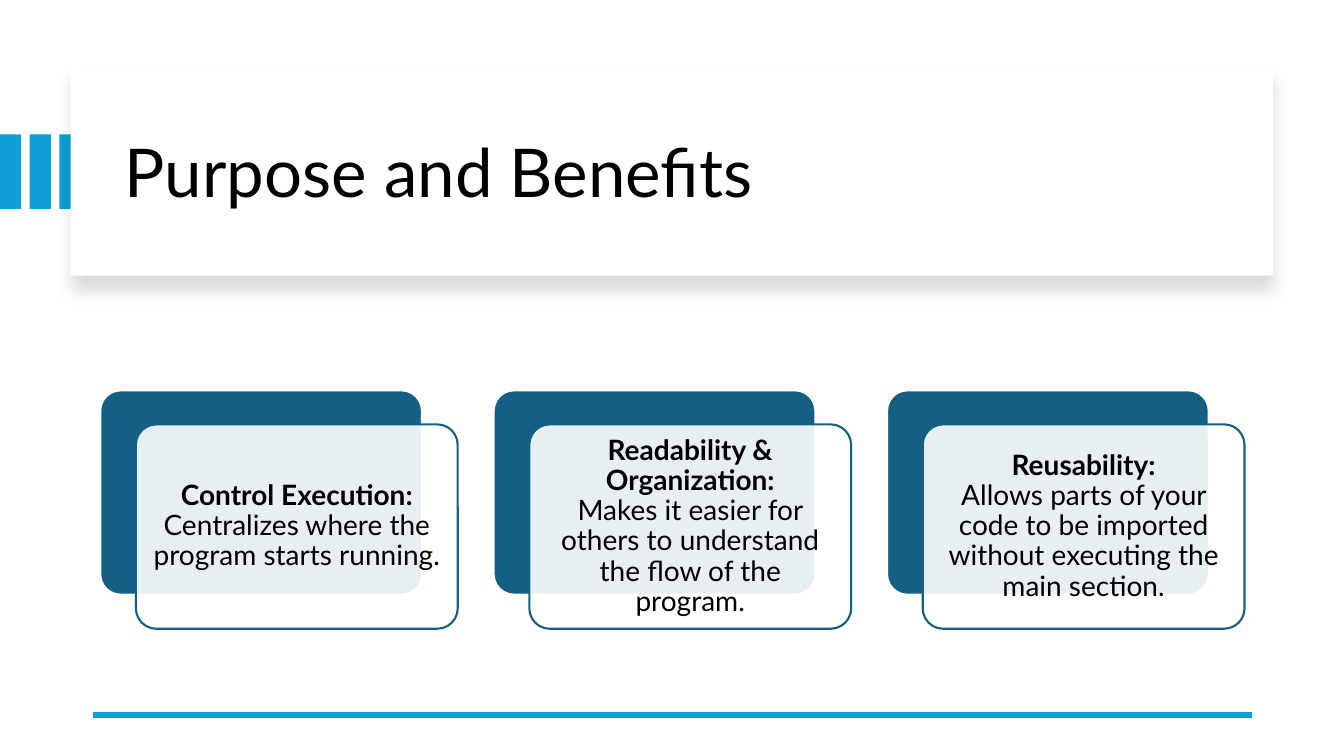
from dataclasses import dataclass

from lxml import etree
from pptx import Presentation
from pptx.dml.color import RGBColor
from pptx.enum.shapes import MSO_CONNECTOR, MSO_SHAPE
from pptx.enum.text import MSO_ANCHOR, PP_ALIGN
from pptx.oxml.ns import qn
from pptx.util import Pt

RECT = MSO_SHAPE.RECTANGLE
ROUNDED = MSO_SHAPE.ROUNDED_RECTANGLE
STRAIGHT = MSO_CONNECTOR.STRAIGHT
MIDDLE = MSO_ANCHOR.MIDDLE
LEFT, CENTER = PP_ALIGN.LEFT, PP_ALIGN.CENTER

# Content
TITLE = "Purpose and Benefits"
BENEFITS = [
    ("Control Execution:", "Centralizes where the program starts running."),
    ("Readability & Organization:",
     "Makes it easier for others to understand the flow of the program."),
    ("Reusability:",
     "Allows parts of your code to be imported without executing the main section."),
]


@dataclass(frozen=True)
class Theme:
    font: str = "Lato"
    title_size: float = 48
    body_size: float = 20
    text: str = "000000"
    paper: str = "FFFFFF"
    accent: str = "0F9ED5"
    card: str = "156082"


THEME = Theme()

# Layout, in points
STRIPE_TOP, STRIPE_WIDTH, STRIPE_HEIGHT, STRIPE_STEP = 96, 15.2, 53.2, 21.2
BANNER = (50.4, 48, 859, 149)
TITLE_BOX = (82, 64, 801.5, 122.5)
RULE_LEFT, RULE_RIGHT, RULE_Y = 66.2, 894.2, 510.5
CARD_LEFT, CARD_TOP, CARD_WIDTH, CARD_HEIGHT = 71.6, 278.8, 229.9, 146
CARD_STEP, CARD_SHIFT_X, CARD_SHIFT_Y = 281, 25.5, 24.3
TEXT_MARGIN = 4.25

deck = Presentation()
deck.slide_width, deck.slide_height = Pt(960), Pt(540)
page = deck.slides.add_slide(deck.slide_layouts[6])


def add_box(kind, left, top, width, height, fill, line=None):
    box = page.shapes.add_shape(kind, Pt(left), Pt(top), Pt(width), Pt(height))
    box.shadow.inherit = False
    box.fill.solid()
    box.fill.fore_color.rgb = RGBColor.from_string(fill)
    if line:
        box.line.color.rgb = RGBColor.from_string(line)
        box.line.width = Pt(1.5)
    else:
        box.line.fill.background()
    if kind == ROUNDED:
        box.adjustments[0] = 0.1
    return box


def add_text(lines, left, top, width, height, size, align=LEFT,
             margins=(7.2, 3.6), bold_first=False):
    box = page.shapes.add_textbox(Pt(left), Pt(top), Pt(width), Pt(height))
    frame = box.text_frame
    frame.word_wrap = True
    frame.vertical_anchor = MIDDLE
    frame.margin_left = frame.margin_right = Pt(margins[0])
    frame.margin_top = frame.margin_bottom = Pt(margins[1])
    para = frame.paragraphs[0]
    para.alignment = align
    para.line_spacing = 0.9
    for index, line in enumerate(lines):
        if index:
            para.add_line_break()
        span = para.add_run()
        span.text = line
        span.font.name = THEME.font
        span.font.size = Pt(size)
        span.font.bold = bold_first and index == 0
        span.font.color.rgb = RGBColor.from_string(THEME.text)


def set_opacity(parent, percent):
    color = parent.find(".//" + qn("a:srgbClr"))
    etree.SubElement(color, qn("a:alpha"), val=str(percent * 1000))


def add_shadow(box, blur, distance, opacity):
    effects = box._element.spPr.find(qn("a:effectLst"))
    shadow = etree.SubElement(
        effects, qn("a:outerShdw"), blurRad=str(Pt(blur)), dist=str(Pt(distance)),
        dir="5400000", algn="t", rotWithShape="0")
    etree.SubElement(shadow, qn("a:srgbClr"), val=THEME.text)
    set_opacity(shadow, opacity)


# Stripes running in under the banner
for index in range(3):
    add_box(RECT, index * STRIPE_STEP, STRIPE_TOP, STRIPE_WIDTH, STRIPE_HEIGHT,
            THEME.accent)

# Title banner
banner = add_box(RECT, *BANNER, THEME.paper)
add_shadow(banner, blur=11, distance=10, opacity=15)
add_text([TITLE], *TITLE_BOX, THEME.title_size)

# Bottom rule
rule = page.shapes.add_connector(
    STRAIGHT, Pt(RULE_RIGHT), Pt(RULE_Y), Pt(RULE_LEFT), Pt(RULE_Y))
rule.line.color.rgb = RGBColor.from_string(THEME.accent)
rule.line.width = Pt(4.5)
etree.SubElement(rule._element.spPr, qn("a:effectLst"))

# Benefit cards: a solid back and a translucent front with the text
for index, benefit in enumerate(BENEFITS):
    left = CARD_LEFT + index * CARD_STEP
    add_box(ROUNDED, left, CARD_TOP, CARD_WIDTH, CARD_HEIGHT, THEME.card, THEME.paper)
    front_left, front_top = left + CARD_SHIFT_X, CARD_TOP + CARD_SHIFT_Y
    front = add_box(ROUNDED, front_left, front_top, CARD_WIDTH, CARD_HEIGHT,
                    THEME.paper, THEME.card)
    set_opacity(front._element.spPr.find(qn("a:solidFill")), 90)
    add_text(benefit, front_left + TEXT_MARGIN, front_top + TEXT_MARGIN,
             CARD_WIDTH - 2 * TEXT_MARGIN, CARD_HEIGHT - 2 * TEXT_MARGIN,
             THEME.body_size, align=CENTER, margins=(6, 6), bold_first=True)

deck.save("out.pptx")
